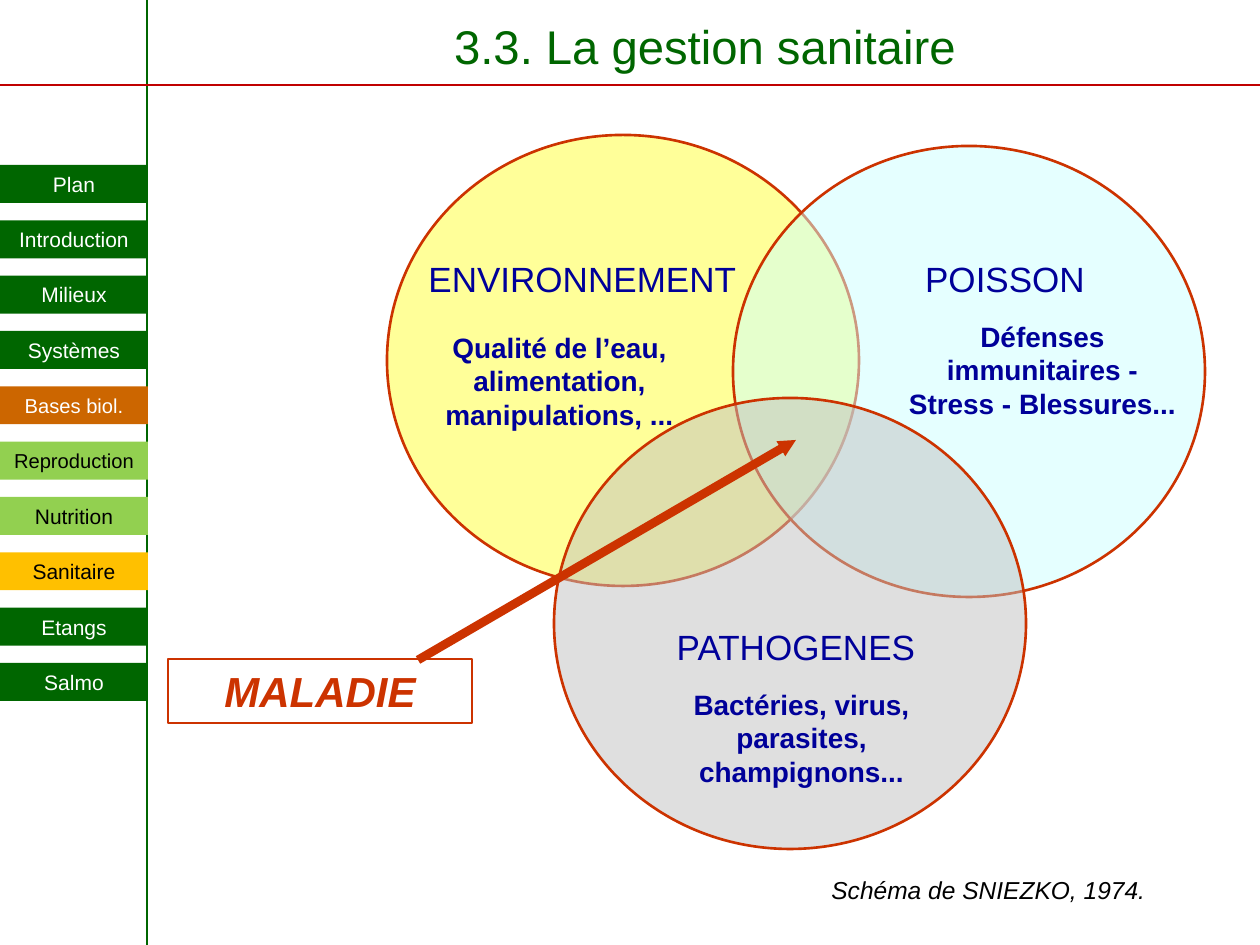
from lxml import etree
from pptx import Presentation
from pptx.dml.color import RGBColor
from pptx.enum.shapes import MSO_CONNECTOR, MSO_SHAPE
from pptx.enum.text import MSO_ANCHOR, PP_ALIGN
from pptx.oxml.ns import qn
from pptx.util import Emu, Pt

LEFT, CENTER = PP_ALIGN.LEFT, PP_ALIGN.CENTER
TOP, MIDDLE = MSO_ANCHOR.TOP, MSO_ANCHOR.MIDDLE
RECTANGLE, OVAL = MSO_SHAPE.RECTANGLE, MSO_SHAPE.OVAL
STRAIGHT = MSO_CONNECTOR.STRAIGHT

GREEN = RGBColor(0x00, 0x66, 0x00)
LIGHT_GREEN = RGBColor(0x92, 0xD0, 0x50)
ORANGE = RGBColor(0xCC, 0x66, 0x00)
AMBER = RGBColor(0xFF, 0xC0, 0x00)
DARK_RED = RGBColor(0xC0, 0x00, 0x00)
RED = RGBColor(0xCC, 0x33, 0x00)
NAVY = RGBColor(0x00, 0x00, 0x99)
YELLOW = RGBColor(0xFF, 0xFF, 0x99)
CYAN = RGBColor(0xCC, 0xFF, 0xFF)
GREY = RGBColor(0xC0, 0xC0, 0xC0)
WHITE = RGBColor(0xFF, 0xFF, 0xFF)
BLACK = RGBColor(0x00, 0x00, 0x00)

# Content (lengths in px)
SLIDE_W, SLIDE_H = 1260, 945
TITLE = "3.3. La gestion sanitaire"
DISEASE = "MALADIE"
CREDIT = "Schéma de SNIEZKO, 1974."

# label, fill, text colour, text size
MENU = [
    ("Plan", GREEN, WHITE, 12),
    ("Introduction", GREEN, WHITE, 12),
    ("Milieux", GREEN, WHITE, 12),
    ("Systèmes", GREEN, WHITE, 12),
    ("Bases biol.", ORANGE, WHITE, 11.5),
    ("Reproduction", LIGHT_GREEN, BLACK, 11.5),
    ("Nutrition", LIGHT_GREEN, BLACK, 12),
    ("Sanitaire", AMBER, BLACK, 12),
    ("Etangs", GREEN, WHITE, 12),
    ("Salmo", GREEN, WHITE, 12),
]
MENU_W, MENU_H, MENU_FIRST, MENU_LAST = 148, 38, 165, 663

CIRCLE_W, CIRCLE_H = 472, 451
FACTORS = [
    dict(corner=(387, 135), fill=YELLOW, opacity=100,
         name="ENVIRONNEMENT", name_box=(416, 251, 344, 54), align=LEFT,
         detail="Qualité de l’eau, alimentation,\vmanipulations, ...",
         detail_box=(407, 324, 305, 113)),
    dict(corner=(733, 146), fill=CYAN, opacity=50,
         name="POISSON", name_box=(848, 251, 314, 54), align=CENTER,
         detail="Défenses immunitaires - Stress - Blessures...",
         detail_box=(890, 313, 305, 113)),
    dict(corner=(554, 398), fill=GREY, opacity=50,
         name="PATHOGENES", name_box=(639, 619, 314, 54), align=CENTER,
         detail="Bactéries, virus, parasites, champignons...",
         detail_box=(649, 681, 305, 113)),
]


def px(value):
    return Emu(round(value * 914400 / 126))


def write(frame, text, align=CENTER, anchor=TOP, **font):
    frame.word_wrap = True
    frame.vertical_anchor = anchor
    paragraph = frame.paragraphs[0]
    paragraph.text = text
    paragraph.alignment = align
    font = {"name": "Arial", **font}
    paragraph.font.color.rgb = font.pop("color")
    paragraph.font.size = Pt(font.pop("size"))
    for key, value in font.items():
        setattr(paragraph.font, key, value)


def add_text(slide, box, text, **style):
    write(slide.shapes.add_textbox(*map(px, box)).text_frame, text, **style)


def add_block(slide, kind, box, fill=None, line=None, weight=1, opacity=100):
    block = slide.shapes.add_shape(kind, *map(px, box))
    block.shadow.inherit = False
    if fill is None:
        block.fill.background()
    else:
        block.fill.solid()
        block.fill.fore_color.rgb = fill
        if opacity < 100:
            color = block.fill._xPr.find(qn("a:solidFill"))[0]
            etree.SubElement(color, qn("a:alpha"), val=str(opacity * 1000))
    if line is None:
        block.line.fill.background()
    else:
        block.line.color.rgb = line
        block.line.width = Pt(weight)
    return block


def add_line(slide, ends, color, weight, arrow=False):
    line = slide.shapes.add_connector(STRAIGHT, *map(px, ends))
    line.line.color.rgb = color
    line.line.width = Pt(weight)
    if arrow:
        etree.SubElement(line.line._get_or_add_ln(), qn("a:tailEnd"),
                         type="triangle", w="sm", len="sm")
    etree.SubElement(line._element.spPr, qn("a:effectLst"))


def main():
    deck = Presentation()
    deck.slide_width, deck.slide_height = px(SLIDE_W), px(SLIDE_H)
    slide = deck.slides.add_slide(deck.slide_layouts[5])

    # Title
    title = slide.shapes.title
    title.left, title.top, title.width, title.height = map(px, (174, 11, 1062, 58))
    write(title.text_frame, TITLE, size=27, color=GREEN)

    # Three overlapping factors
    for factor in FACTORS:
        add_block(slide, OVAL, (*factor["corner"], CIRCLE_W, CIRCLE_H),
                  factor["fill"], RED, 1.5, factor["opacity"])
        add_text(slide, factor["name_box"], factor["name"],
                 align=factor["align"], size=20, color=NAVY)
        add_text(slide, factor["detail_box"], factor["detail"],
                 size=16, color=NAVY, bold=True)

    # Disease, where the factors meet
    add_line(slide, (418, 660, 796, 440), RED, 5, arrow=True)
    disease = add_block(slide, RECTANGLE, (168, 659, 304, 64), line=RED)
    write(disease.text_frame, DISEASE, anchor=MIDDLE,
          size=24, color=RED, bold=True, italic=True)
    add_text(slide, (819, 869, 399, 42), CREDIT, align=LEFT,
             size=14, color=BLACK, italic=True)

    # Frame lines
    add_line(slide, (147, 0, 147, SLIDE_H), GREEN, 0.75)
    add_line(slide, (0, 85, SLIDE_W, 85), DARK_RED, 0.75)

    # Side menu
    pitch = (MENU_LAST - MENU_FIRST) / (len(MENU) - 1)
    for row, (label, fill, color, size) in enumerate(MENU):
        top = MENU_FIRST + row * pitch
        entry = add_block(slide, RECTANGLE, (0, top, MENU_W, MENU_H), fill)
        entry.text_frame.margin_left = entry.text_frame.margin_right = 0
        write(entry.text_frame, label, anchor=MIDDLE, size=size, color=color)

    deck.save("out.pptx")


if __name__ == "__main__":
    main()
